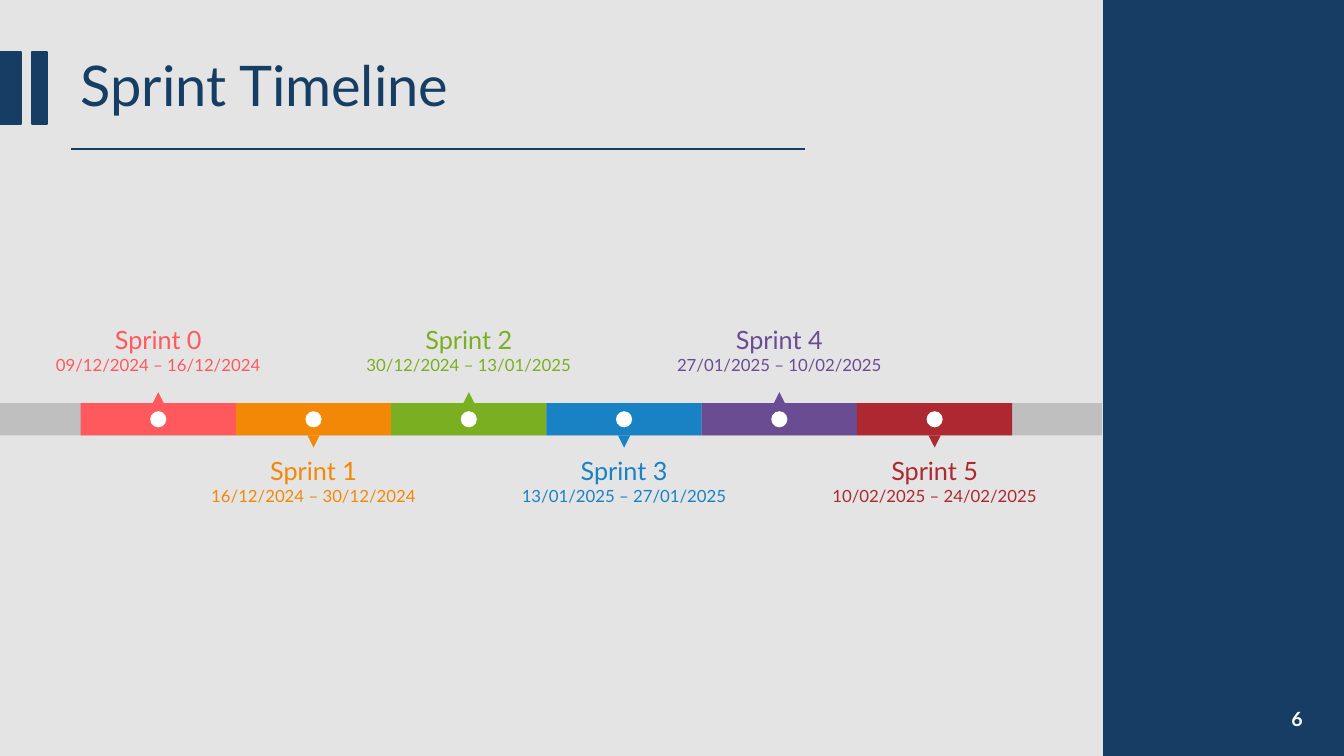
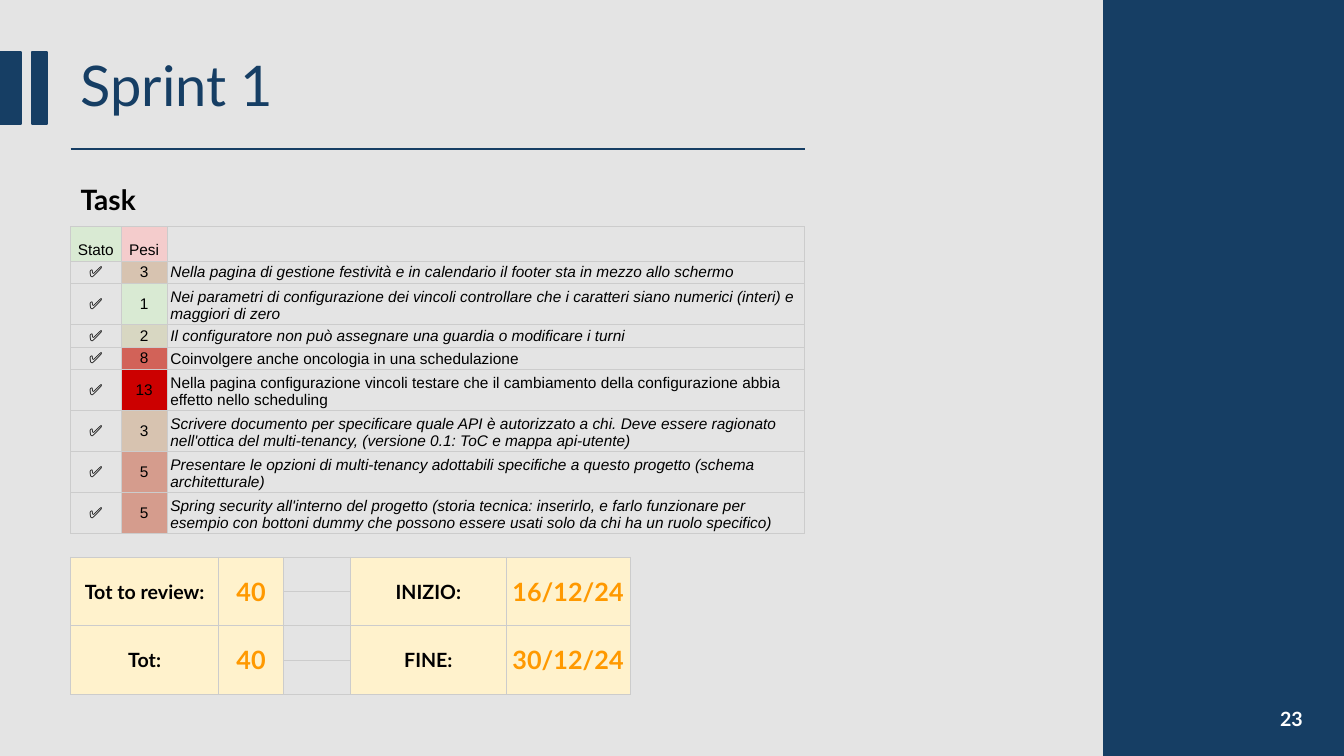
from lxml import etree
from pptx import Presentation
from pptx.dml.color import RGBColor
from pptx.enum.shapes import MSO_CONNECTOR, MSO_SHAPE
from pptx.enum.text import MSO_ANCHOR, PP_ALIGN
from pptx.oxml import parse_xml
from pptx.oxml.ns import nsdecls, qn
from pptx.util import Inches, Pt

LEFT, CENTER, RIGHT = PP_ALIGN.LEFT, PP_ALIGN.CENTER, PP_ALIGN.RIGHT
MIDDLE, BOTTOM = MSO_ANCHOR.MIDDLE, MSO_ANCHOR.BOTTOM
RECT, OVAL, TRIANGLE = MSO_SHAPE.RECTANGLE, MSO_SHAPE.OVAL, MSO_SHAPE.FLOWCHART_EXTRACT
STRAIGHT = MSO_CONNECTOR.STRAIGHT

NAVY, PAPER, WHITE, BLACK = "163E64", "E4E4E4", "FFFFFF", "000000"
TRACK_GREY, GRID_GREY = "BFBFBF", "CCCCCC"
CREAM, AMBER = "FFF2CC", "FF9900"
LATO, ARIAL = "Lato", "Arial"
MARGIN, CONTENT_WIDTH = 0.7, 7.28

SPRINTS = [
    ("Sprint 0", "09/12/2024 – 16/12/2024", "FF595E"),
    ("Sprint 1", "16/12/2024 – 30/12/2024", "F38807"),
    ("Sprint 2", "30/12/2024 – 13/01/2025", "79AF21"),
    ("Sprint 3", "13/01/2025 – 27/01/2025", "1982C4"),
    ("Sprint 4", "27/01/2025 – 10/02/2025", "6A4C93"),
    ("Sprint 5", "10/02/2025 – 24/02/2025", "AD2831"),
]

WEIGHT_FILLS = {1: "D9EAD3", 2: "D8D7C2", 3: "D7C3B0", 5: "D59C8D", 8: "D26258", 13: "CC0000"}
TASK_HEADER = [("Stato", "D9EAD3"), ("Pesi", "F4CCCC"), ("", None)]
TASK_COLUMNS = [0.5, 0.46, 6.32]
HEADER_HEIGHT = 0.34
# weight, italic, row height, task
TASKS = [
    (3, True, 0.22, "Nella pagina di gestione festività e in calendario il footer sta in mezzo allo schermo"),
    (1, True, 0.38, "Nei parametri di configurazione dei vincoli controllare che i caratteri siano "
                    "numerici (interi) e maggiori di zero"),
    (2, True, 0.22, "Il configuratore non può assegnare una guardia o modificare i turni"),
    (8, False, 0.22, "Coinvolgere anche oncologia in una schedulazione"),
    (13, False, 0.38, "Nella pagina configurazione vincoli testare che il cambiamento della "
                      "configurazione abbia effetto nello scheduling"),
    (3, True, 0.4, "Scrivere documento per specificare quale API è autorizzato a chi. Deve essere "
                   "ragionato nell'ottica del multi-tenancy, (versione 0.1: ToC e mappa api-utente)"),
    (5, True, 0.38, "Presentare le opzioni di multi-tenancy adottabili specifiche a questo progetto "
                    "(schema architetturale)"),
    (5, True, 0.4, "Spring security all'interno del progetto (storia tecnica: inserirlo, e farlo "
                   "funzionare per esempio con bottoni dummy che possono essere usati solo da chi "
                   "ha un ruolo specifico)"),
]

SUMMARY_COLUMNS = [1.47, 0.64, 0.67, 1.54, 1.23]
SUMMARY_ROW = 0.34
SUMMARY = [
    ["Tot to review:", "40", "", "INIZIO:", "16/12/24"],
    ["Tot:", "40", "", "FINE:", "30/12/24"],
]
SUMMARY_VALUE_COLUMNS = (1, 4)


def rgb(color):
    return RGBColor.from_string(color)


def box(left, top, width, height):
    return Inches(left), Inches(top), Inches(width), Inches(height)


def format_runs(paragraph, size, color, font=LATO, bold=False, italic=False, align=LEFT):
    paragraph.alignment = align
    for run in paragraph.runs:
        run.font.size, run.font.name = Pt(size), font
        run.font.bold, run.font.italic = bold, italic
        run.font.color.rgb = rgb(color)


def add_block(shapes, kind, area, color, outlined=False):
    block = shapes.add_shape(kind, *box(*area))
    block.shadow.inherit = False
    block.fill.solid()
    block.fill.fore_color.rgb = rgb(color)
    if outlined:
        block.line.color.rgb = rgb(color)
        block.line.width = Pt(1.5)
    else:
        block.line.fill.background()
    return block


def add_label(shapes, area, lines, color, bold=False, align=LEFT):
    """Add a text box; lines holds one (text, size) pair per paragraph."""
    frame = shapes.add_textbox(*box(*area)).text_frame
    frame.word_wrap = True
    frame.text = "\n".join(text for text, _ in lines)
    for paragraph, (_, size) in zip(frame.paragraphs, lines):
        format_runs(paragraph, size, color, bold=bold, align=align)
    return frame


def add_page(prs, heading, number):
    """Add a slide with the shared title, bands, rule and page number."""
    slide = prs.slides.add_slide(prs.slide_layouts[5])
    title = slide.shapes.title
    title.left, title.top, title.width, title.height = box(MARGIN, 0.52, 8.42, 0.71)
    title.text_frame.text = heading
    title.text_frame.vertical_anchor = MIDDLE
    title.text_frame.paragraphs[0].line_spacing = 0.9
    format_runs(title.text_frame.paragraphs[0], 40, NAVY)

    for band in [(0, 0.52, 0.21, 0.71), (0.32, 0.52, 0.15, 0.71), (10.95, 0, 2.39, 7.5)]:
        add_block(slide.shapes, RECT, band, NAVY, outlined=True)

    rule = slide.shapes.add_connector(
        STRAIGHT, Inches(MARGIN), Inches(1.48), Inches(MARGIN + CONTENT_WIDTH), Inches(1.48))
    rule.line.color.rgb = rgb(NAVY)
    rule.line.width = Pt(1.5)
    etree.SubElement(rule._element.spPr, qn("a:effectLst"))

    page_number = add_label(slide.shapes, (10.02, 6.93, 3, 0.4), [(number, 14)], WHITE, True, RIGHT)
    page_number.vertical_anchor = MIDDLE
    return slide


def add_grid(slide, left, top, widths, heights):
    size = box(left, top, sum(widths), sum(heights))
    grid = slide.shapes.add_table(len(heights), len(widths), *size).table
    grid.first_row = grid.horz_banding = False
    for column, width in zip(grid.columns, widths):
        column.width = Inches(width)
    for row, height in zip(grid.rows, heights):
        row.height = Inches(height)
    for cell in grid.iter_cells():
        style_cell(cell)
    return grid


def style_cell(cell):
    """Give a cell thin borders, tight margins, no fill and a small empty line."""
    cell.margin_left = cell.margin_right = Inches(0.03)
    cell.margin_top = cell.margin_bottom = Inches(0.02)
    properties = cell._tc.get_or_add_tcPr()
    for side in ("lnL", "lnR", "lnT", "lnB"):
        properties.append(parse_xml(
            f'<a:{side} {nsdecls("a")} w="{Pt(0.75)}"><a:solidFill>'
            f'<a:srgbClr val="{GRID_GREY}"/></a:solidFill></a:{side}>'))
    cell.fill.background()
    end = etree.SubElement(cell.text_frame.paragraphs[0]._p, qn("a:endParaRPr"))
    end.set("sz", "1000")


def fill_cell(cell, text, size, color=BLACK, fill=None, anchor=MIDDLE, **style):
    if text:
        cell.text_frame.text = text
        format_runs(cell.text_frame.paragraphs[0], size, color, **style)
    cell.vertical_anchor = anchor
    if fill:
        cell.fill.solid()
        cell.fill.fore_color.rgb = rgb(fill)


def build_timeline(prs):
    slide = add_page(prs, "Sprint Timeline", "6")
    start, step, track_top, track_height = 0.8, 1.54, 4, 0.32
    dot, pointer, label_width = 0.16, 0.12, 2.34
    add_block(slide.shapes, RECT, (0, track_top, 10.93, track_height), TRACK_GREY)

    for index, (name, dates, color) in enumerate(SPRINTS):
        above = index % 2 == 0
        left = start + index * step
        middle = left + step / 2
        sprint = slide.shapes.add_group_shape().shapes
        add_block(sprint, RECT, (left, track_top, step, track_height), color)
        dot_top = track_top + (track_height - dot) / 2
        add_block(sprint, OVAL, (middle - dot / 2, dot_top, dot, dot), WHITE)
        pointer_top = track_top - pointer + 0.01 if above else track_top + track_height
        tip = add_block(sprint, TRIANGLE, (middle - pointer / 2, pointer_top, pointer, pointer), color)
        tip.rotation = 0 if above else 180
        label_top = 3.17 if above else 4.47
        add_label(sprint, (middle - label_width / 2, label_top, label_width, 0.61),
                  [(name, 18), (dates, 12)], color, align=CENTER)


def build_sprint(prs):
    slide = add_page(prs, "Sprint 1", "23")
    heights = [HEADER_HEIGHT] + [height for _, _, height, _ in TASKS]
    tasks = add_grid(slide, MARGIN, 2.25, TASK_COLUMNS, heights)
    for column, (text, fill) in enumerate(TASK_HEADER):
        fill_cell(tasks.cell(0, column), text, 11, fill=fill, anchor=BOTTOM, font=ARIAL, align=CENTER)
    for row, (weight, italic, _, task) in enumerate(TASKS, 1):
        fill_cell(tasks.cell(row, 0), "✅", 11, font=ARIAL, align=CENTER)
        fill_cell(tasks.cell(row, 1), str(weight), 11, fill=WEIGHT_FILLS[weight],
                  font=ARIAL, align=CENTER)
        fill_cell(tasks.cell(row, 2), task, 11, anchor=MIDDLE if row == 1 else BOTTOM,
                  font=ARIAL, italic=italic)

    summary = add_grid(slide, MARGIN, 5.53, SUMMARY_COLUMNS, [SUMMARY_ROW] * 2 * len(SUMMARY))
    for index, entries in enumerate(SUMMARY):
        for column, text in enumerate(entries):
            if not text:
                continue
            cell = summary.cell(2 * index, column)
            cell.merge(summary.cell(2 * index + 1, column))
            size, color = (18, AMBER) if column in SUMMARY_VALUE_COLUMNS else (14, BLACK)
            fill_cell(cell, text, size, color, CREAM, bold=True, align=CENTER)

    add_label(slide.shapes, (MARGIN, 1.76, CONTENT_WIDTH, 0.44), [("Task", 20)], BLACK, bold=True)


def main():
    prs = Presentation()
    prs.slide_width, prs.slide_height = Inches(13.33), Inches(7.5)
    backdrop = prs.slide_master.background.fill
    backdrop.solid()
    backdrop.fore_color.rgb = rgb(PAPER)
    build_timeline(prs)
    build_sprint(prs)
    prs.save("out.pptx")


if __name__ == "__main__":
    main()
